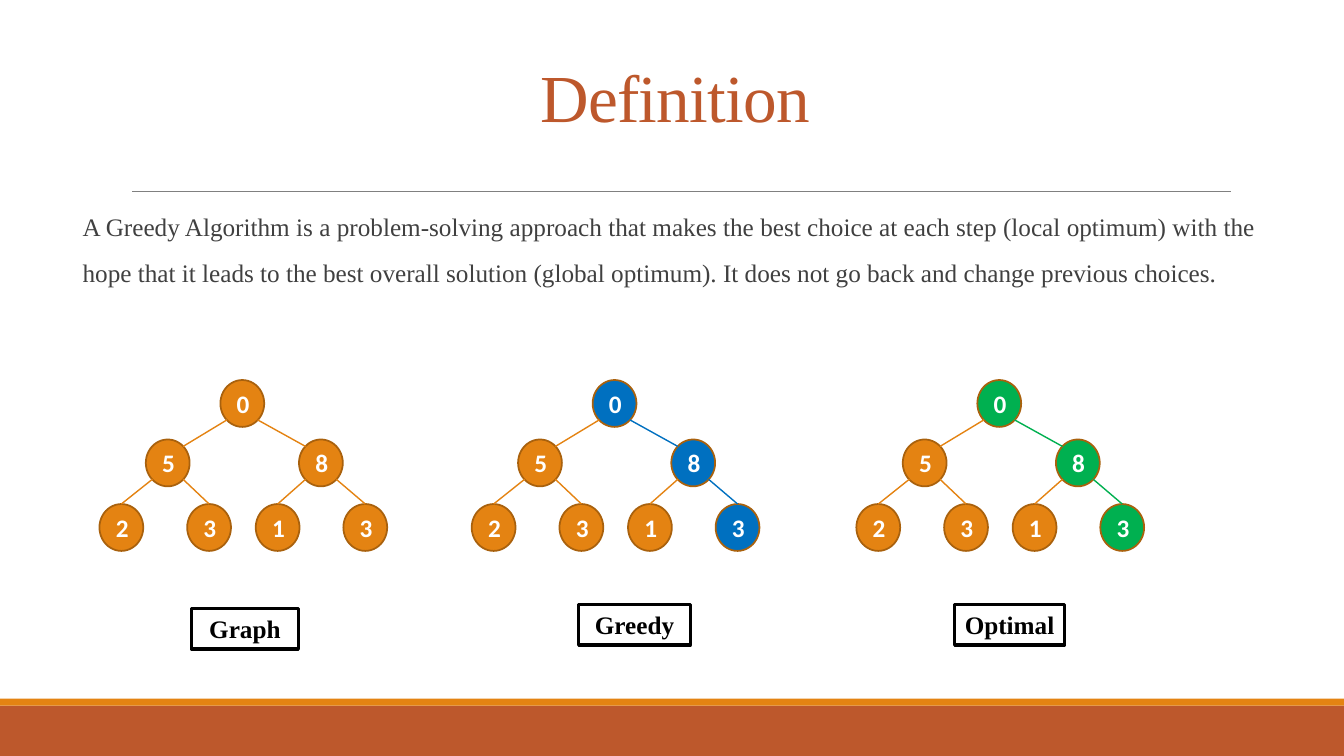
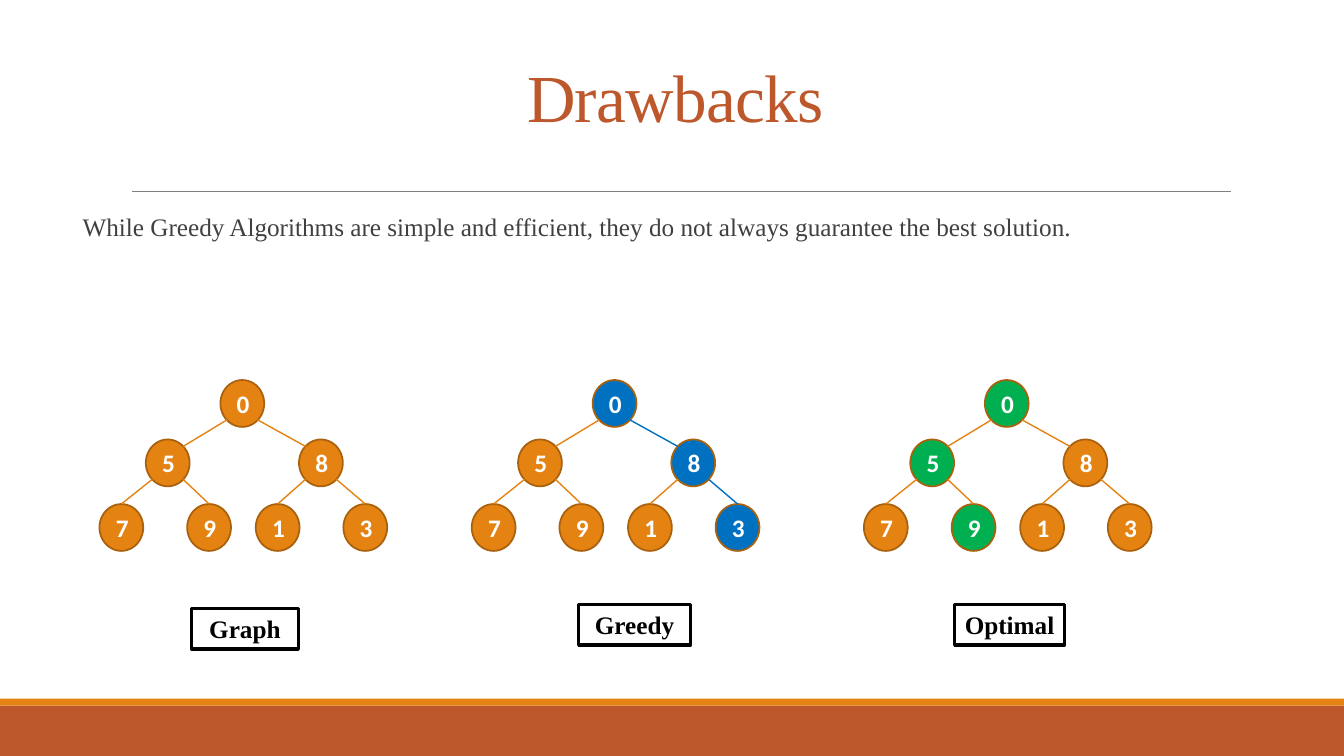
"""Build two slides that compare greedy and optimal paths in small trees."""
from collections import namedtuple

from lxml import etree
from pptx import Presentation
from pptx import util as u
from pptx.dml.color import RGBColor
from pptx.enum import shapes, text
from pptx.oxml.ns import qn

WIDTH, HEIGHT = u.Inches(13.33), u.Inches(7.5)
COLORS = {
    "rust": "BD582C", "orange": "E48312", "brown": "A9610D", "blue": "0070C0",
    "green": "00B050", "rule": "808080", "body": "404040", "white": "FFFFFF",
    "black": "000000",
}
SERIF, SANS = "Times New Roman", "Calibri"
TREE_LEFTS = (7.4, 35.1)
NODE_WIDTH, NODE_HEIGHT = 3.26, 6.2
LEVELS = (50.27, 58.13, 66.67)
NODE_OFFSETS = ((9, 0), (3.45, 1), (14.85, 1), (0, 2), (6.53, 2), (11.63, 2), (18.15, 2))
ARC = 0.15
LABELS = (
    ("Graph", (14.25, 80.53, 7.95, 5.33)),
    ("Greedy", (43.05, 80, 8.33, 5.33)),
    ("Optimal", (71.03, 80, 8.18, 5.33)),
)
Topic = namedtuple("Topic", "title body values optimal_left optimal_path optimal_edges")
TOPICS = (
    Topic("Definition",
          "A Greedy Algorithm is a problem-solving approach that makes the best choice "
          "at each step (local optimum) with the hope that it leads to the best overall "
          "solution (global optimum). It does not go back and change previous choices.",
          "0582313", 63.72, (0, 2, 6), "green"),
    Topic("Drawbacks",
          "While Greedy Algorithms are simple and efficient, they do not always "
          "guarantee the best solution.",
          "0587913", 64.28, (0, 1, 4), "orange"),
)


def color(name):
    """Return the named palette colour."""
    return RGBColor.from_string(COLORS[name])


def across(percent):
    """Convert a percentage of the slide's width to a length."""
    return u.Emu(round(WIDTH * percent / 100))


def down(percent):
    """Convert a percentage of the slide's height to a length."""
    return u.Emu(round(HEIGHT * percent / 100))


def place(area):
    """Convert left, top, width and height percentages to lengths."""
    left, top, width, height = area
    return across(left), down(top), across(width), down(height)


def write(box, words, size=18, font=SERIF, ink="black", bold=False, align="CENTER",
          anchor="TOP", wrap=True, spacing=None, before=0, after=0, tracking=None):
    """Write one formatted paragraph into a box."""
    frame = box.text_frame
    frame.word_wrap = wrap
    frame.vertical_anchor = text.MSO_ANCHOR[anchor]
    para = frame.paragraphs[0]
    para.alignment = text.PP_ALIGN[align]
    para.line_spacing = spacing
    para.space_before, para.space_after = u.Pt(before), u.Pt(after)
    span = para.add_run()
    span.text = words
    span.font.size, span.font.name, span.font.bold = u.Pt(size), font, bold
    span.font.color.rgb = color(ink)
    if tracking is not None:
        span.font._element.set("spc", str(round(tracking * 100)))
    return frame


def add_box(page, kind, area, fill=None, line=None, weight=1):
    """Add a preset shape without a shadow."""
    box = page.shapes.add_shape(shapes.MSO_SHAPE[kind], *place(area))
    box.shadow.inherit = False
    if fill:
        box.fill.solid()
        box.fill.fore_color.rgb = color(fill)
    else:
        box.fill.background()
    if line:
        box.line.color.rgb = color(line)
        box.line.width = u.Pt(weight)
    else:
        box.line.fill.background()
    return box


def add_line(page, start, end, ink, weight=1):
    """Add a straight line between two points."""
    line = page.shapes.add_connector(
        shapes.MSO_CONNECTOR.STRAIGHT,
        across(start[0]), down(start[1]), across(end[0]), down(end[1]))
    line.line.color.rgb = color(ink)
    line.line.width = u.Pt(weight)
    etree.SubElement(line._element.spPr, qn("a:effectLst"))


def add_frame(page, title, body):
    """Add the bands, rule, title and body text of a page."""
    add_box(page, "RECTANGLE", (0, 93.33, 100, 6.67), fill="rust")
    add_box(page, "RECTANGLE", (0, 92.4, 100, 0.93), fill="orange")
    add_line(page, (9.83, 25.33), (91.58, 25.33), "rule", weight=0.5)
    heading = page.shapes.add_textbox(*place((9, 6.67, 82.5, 12)))
    write(heading, title, size=48, ink="rust", anchor="BOTTOM", spacing=0.85, tracking=-0.5)
    block = page.shapes.add_textbox(*place((6.15, 25.33, 87.3, 66.27)))
    frame = write(block, body, ink="body", align="JUSTIFY", spacing=1.5, before=12, after=2)
    frame.margin_left = frame.margin_right = 0


def add_tree(page, left, values, path=(), accent="orange", edge_accent="orange"):
    """Add a seven-node binary tree with one path highlighted."""
    spots = [(left + offset, LEVELS[level]) for offset, level in NODE_OFFSETS]
    for index, (value, (x, y)) in enumerate(zip(values, spots)):
        fill = accent if index in path else "orange"
        node = add_box(page, "FLOWCHART_CONNECTOR", (x, y, NODE_WIDTH, NODE_HEIGHT),
                       fill=fill, line="brown", weight=1.25)
        write(node, value, font=SANS, ink="white", bold=True, anchor="MIDDLE")
    for child in range(1, len(spots)):
        parent = (child - 1) // 2
        is_left, is_leaf = child % 2 == 1, NODE_OFFSETS[child][1] == 2
        side = ARC if is_left else 1 - ARC
        entry = (0.5, 0) if is_leaf else (1 - side, ARC)
        start, end = (
            (spots[node][0] + dx * NODE_WIDTH, spots[node][1] + dy * NODE_HEIGHT)
            for node, (dx, dy) in ((parent, (side, 1 - ARC)), (child, entry)))
        on_path = parent in path and child in path
        add_line(page, start, end, edge_accent if on_path else "orange")


def add_label(page, words, area):
    """Add an outlined caption below a tree."""
    box = add_box(page, "RECTANGLE", area, line="black", weight=2.25)
    frame = write(box, words, bold=True, wrap=False)
    frame.auto_size = text.MSO_AUTO_SIZE.SHAPE_TO_FIT_TEXT


def main():
    """Build and save the deck."""
    deck = Presentation()
    deck.slide_width, deck.slide_height = WIDTH, HEIGHT
    for topic in TOPICS:
        page = deck.slides.add_slide(deck.slide_layouts[6])
        add_frame(page, topic.title, topic.body)
        graph_left, greedy_left = TREE_LEFTS
        add_tree(page, graph_left, topic.values)
        add_tree(page, greedy_left, topic.values, (0, 2, 6), "blue", "blue")
        add_tree(page, topic.optimal_left, topic.values, topic.optimal_path,
                 "green", topic.optimal_edges)
        for words, area in LABELS:
            add_label(page, words, area)
    deck.save("out.pptx")


if __name__ == "__main__":
    main()
